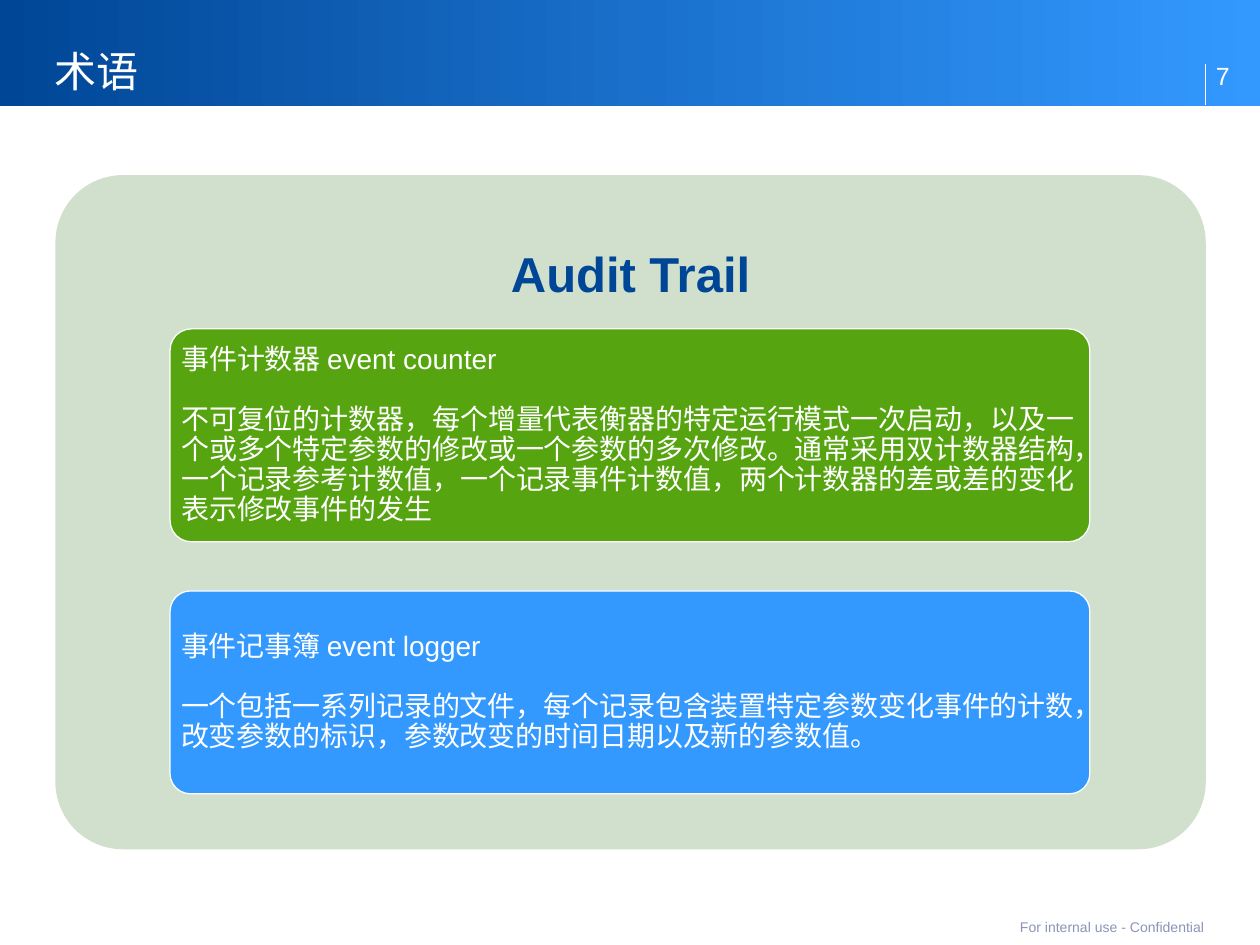
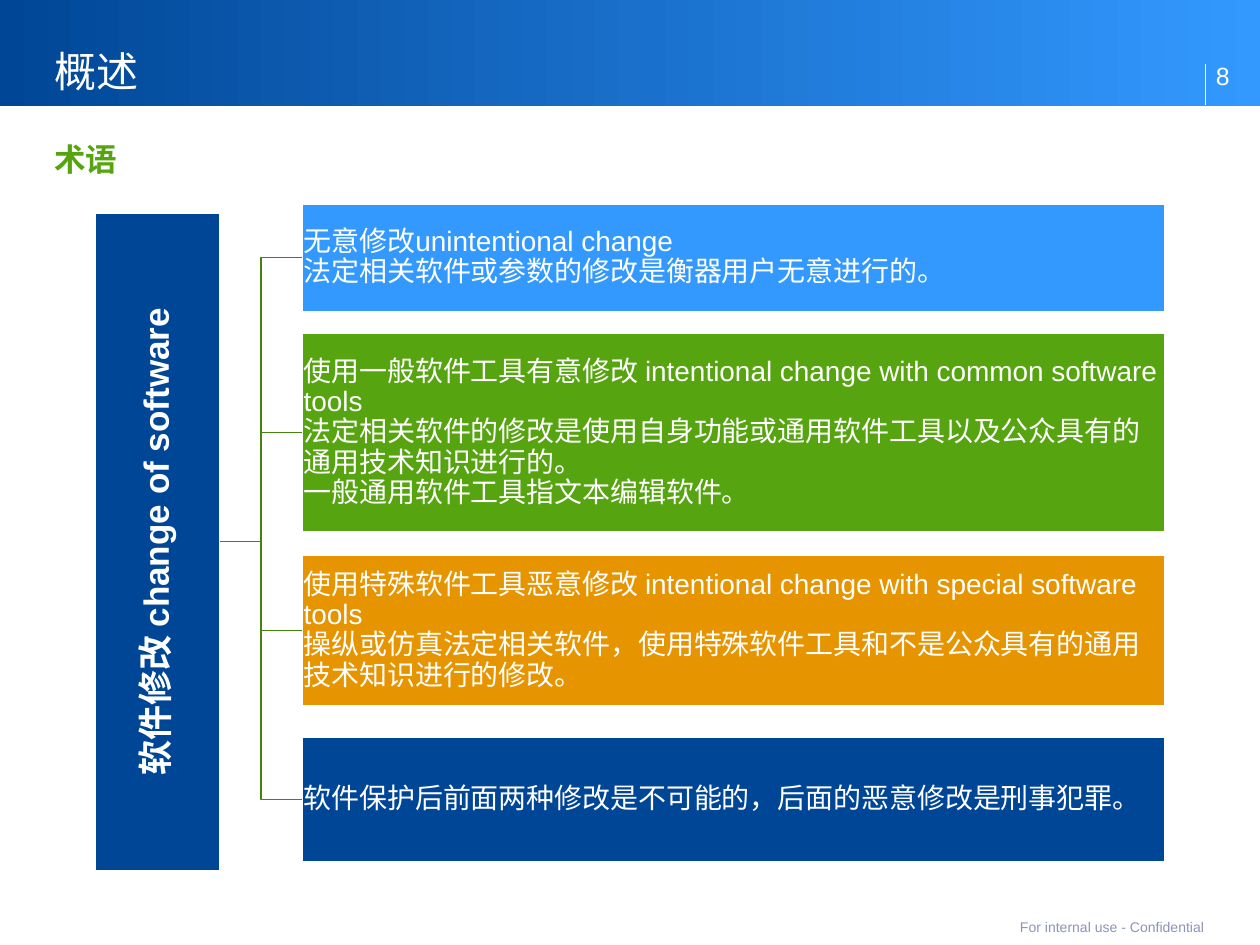
from pptx import Presentation
from pptx.dml.color import RGBColor
from pptx.enum.shapes import MSO_CONNECTOR as Connector, MSO_SHAPE as Shape
from pptx.enum.text import MSO_ANCHOR as Anchor, PP_ALIGN as Align
from pptx.oxml.ns import qn
from pptx.util import Inches, Pt
from lxml.etree import SubElement

NAVY, BLUE, GREEN, ORANGE = "004696", "3399FF", "56A410", "E69400"
WHITE, PALE_GREEN, DARK_GREEN, GREY = "FFFFFF", "D1E0CC", "45830D", "8C94B8"
FONT = "Arial"
FOOTER = "For internal use - Confidential"
MARGIN, RIGHT_EDGE, BAND_HEIGHT = 0.43, 9.57, 0.84
LINE_GAP = 17  # points: one line of body text

# Each paragraph is one string; "\v" is a line break within it.
TERMS = {
    "title": "术语", "number": 7, "heading": "Audit Trail",
    "cards": [
        (2.61, 1.69, GREEN, [
            "事件计数器 event counter",
            "不可复位的计数器，每个增量代表衡器的特定运行模式一次启动，以及一个或多个特定参数的修改或"
            "一个参数的多次修改。通常采用双计数器结构，一个记录参考计数值，一个记录事件计数值，"
            "两个计数器的差或差的变化表示修改事件的发生"]),
        (4.69, 1.61, BLUE, [
            "事件记事簿 event logger",
            "一个包括一系列记录的文件，每个记录包含装置特定参数变化事件的计数，"
            "改变参数的标识，参数改变的时间日期以及新的参数值。"]),
    ],
}
OVERVIEW = {
    "title": "概述", "number": 8, "subtitle": "术语",
    "root": "软件修改 change of software",
    "branches": [
        (1.62, 0.85, BLUE,
         "无意修改unintentional change\v法定相关软件或参数的修改是衡器用户无意进行的。"),
        (2.65, 1.57, GREEN,
         "使用一般软件工具有意修改 intentional change with common software tools\v"
         "法定相关软件的修改是使用自身功能或通用软件工具以及公众具有的通用技术知识进行的。\v"
         "一般通用软件工具指文本编辑软件。"),
        (4.41, 1.19, ORANGE,
         "使用特殊软件工具恶意修改 intentional change with special software tools\v"
         "操纵或仿真法定相关软件，使用特殊软件工具和不是公众具有的通用技术知识进行的修改。"),
        (5.85, 0.99, NAVY,
         "软件保护后前面两种修改是不可能的，后面的恶意修改是刑事犯罪。"),
    ],
}


def rgb(value):
    """Turn a hex string into a colour."""
    return RGBColor.from_string(value)


def write(shape, paragraphs, size=16, color=WHITE, bold=False, align=Align.LEFT,
          anchor=Anchor.MIDDLE, insets=(0, 0, 0, 0), spacing=None, gap=0):
    """Write text into a shape; gap is the space in points between paragraphs."""
    frame = shape.text_frame
    frame.word_wrap = True
    frame.vertical_anchor = anchor
    (frame.margin_left, frame.margin_top,
     frame.margin_right, frame.margin_bottom) = map(Inches, insets)
    if isinstance(paragraphs, str):
        paragraphs = [paragraphs]
    for index, text in enumerate(paragraphs):
        paragraph = frame.add_paragraph() if index else frame.paragraphs[0]
        paragraph.text = text
        paragraph.alignment = align
        paragraph.line_spacing = spacing
        paragraph.space_before = Pt(gap if index else 0)
        for run in paragraph.runs:
            run.font.name, run.font.size, run.font.bold = FONT, Pt(size), bold
            run.font.color.rgb = rgb(color)


def add_text(slide, box, text, **text_format):
    """Add a text box holding formatted text."""
    write(slide.shapes.add_textbox(*map(Inches, box)), text, **text_format)


def add_block(slide, kind, box, fill, line=None):
    """Add a flat preset shape, with a hairline if a line colour is given."""
    shape = slide.shapes.add_shape(kind, *map(Inches, box))
    shape.shadow.inherit = False
    shape.fill.solid()
    shape.fill.fore_color.rgb = rgb(fill)
    if line:
        shape.line.color.rgb = rgb(line)
        shape.line.width = Pt(0)
    else:
        shape.line.fill.background()
    if kind == Shape.ROUNDED_RECTANGLE:
        shape.adjustments[0] = 0.1
    return shape


def add_branch_line(slide, start, end):
    """Draw an open elbow line that turns halfway across."""
    (left, top), (right, bottom) = start, end
    middle = (left + right) / 2
    builder = slide.shapes.build_freeform(Inches(left), Inches(top), scale=1.0)
    points = [(middle, top), (middle, bottom), (right, bottom)]
    builder.add_line_segments([(Inches(x), Inches(y)) for x, y in points], close=False)
    shape = builder.convert_to_shape()
    shape.shadow.inherit = False
    shape.fill.background()
    shape.line.color.rgb = rgb(DARK_GREEN)
    shape.line.width = Pt(0)


def add_page(presentation, content):
    """Add a slide with the gradient band, title, page number and footer."""
    slide = presentation.slides.add_slide(presentation.slide_layouts[6])
    band = add_block(slide, Shape.RECTANGLE, (0, 0, 10, BAND_HEIGHT), NAVY)
    band.fill.gradient()
    band.fill.gradient_angle = 0
    for stop, position, color in zip(band.fill.gradient_stops, (0, 1), (NAVY, BLUE)):
        stop.position = position
        stop.color.rgb = rgb(color)
    rule = slide.shapes.add_connector(
        Connector.STRAIGHT, *map(Inches, (RIGHT_EDGE, 0.83, RIGHT_EDGE, 0.51)))
    rule.line.color.rgb = rgb(WHITE)
    rule.line.width = Pt(0.5)
    SubElement(rule._element.spPr, qn("a:effectLst"))
    add_text(slide, (MARGIN, 0.21, 7.56, 0.63), content["title"], size=24,
             anchor=Anchor.BOTTOM, insets=(0, 0, 0, 0.08), spacing=Pt(26))
    add_text(slide, (RIGHT_EDGE, 0.36, 0.43, 0.47), str(content["number"]), size=14.2,
             anchor=Anchor.BOTTOM, insets=(0.08, 0, 0, 0.11))
    add_text(slide, (MARGIN, 7.27, 9.13, 0.17), FOOTER, size=8, color=GREY,
             align=Align.RIGHT, insets=(0, 0.05, 0, 0.05))
    return slide


def build_terms(presentation, content):
    """Build the panel with a heading and two definition cards."""
    slide = add_page(presentation, content)
    left, top, width = 0.44, 1.39, 9.13
    add_block(slide, Shape.ROUNDED_RECTANGLE, (left, top, width, 5.35), PALE_GREEN)
    add_text(slide, (left, top, width, 1.61), content["heading"], size=28, color=NAVY,
             bold=True, align=Align.CENTER, insets=(0.12,) * 4, spacing=0.9)
    for card_top, height, color, paragraphs in content["cards"]:
        card = add_block(slide, Shape.ROUNDED_RECTANGLE,
                         (1.35, card_top, 7.3, height), color, line=WHITE)
        write(card, paragraphs, insets=(0.04, 0.03, 0.04, 0.03), spacing=0.9, gap=LINE_GAP)


def build_overview(presentation, content):
    """Build the tree: a turned root bar and its branches."""
    slide = add_page(presentation, content)
    add_text(slide, (MARGIN, 1.11, 9.14, 0.36), content["subtitle"], size=18, color=GREEN,
             bold=True, anchor=Anchor.TOP, insets=(0, 0, 0, 0.08))
    center_x, center_y, length, thickness = 1.25, 4.3, 5.22, 0.99
    branch_left, branch_width = 2.4, 6.84
    for top, height, _, _ in content["branches"]:
        add_branch_line(slide, (center_x + thickness / 2, center_y),
                        (branch_left, top + height / 2))
    root = add_block(slide, Shape.RECTANGLE,
                     (center_x - length / 2, center_y - thickness / 2, length, thickness),
                     NAVY, line=WHITE)
    root.rotation = 270
    write(root, content["root"], size=20, bold=True, align=Align.CENTER,
          insets=(0.01,) * 4, spacing=0.9)
    for top, height, color, text in content["branches"]:
        branch = add_block(slide, Shape.RECTANGLE,
                           (branch_left, top, branch_width, height), color, line=WHITE)
        write(branch, text, insets=(0.01,) * 4, spacing=0.9)


presentation = Presentation()
presentation.slide_width, presentation.slide_height = Inches(10), Inches(7.5)
build_terms(presentation, TERMS)
build_overview(presentation, OVERVIEW)
presentation.save("out.pptx")
